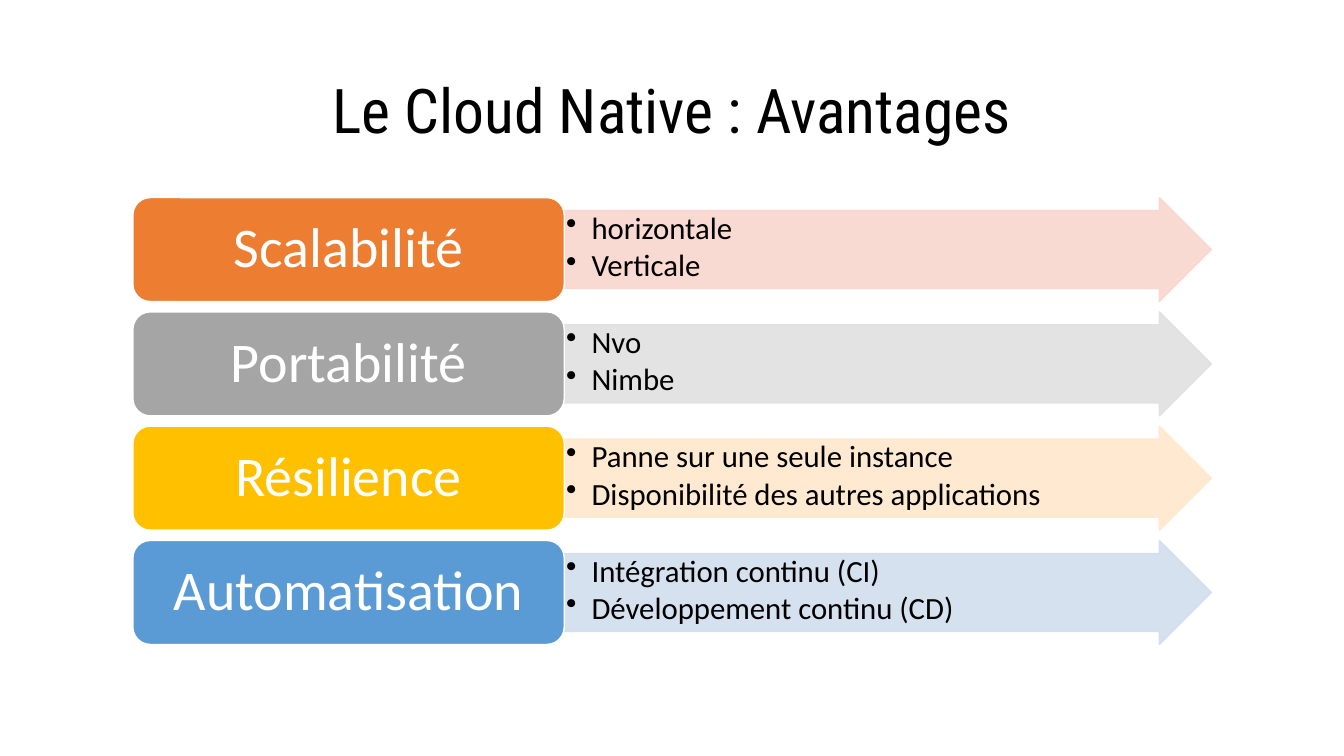
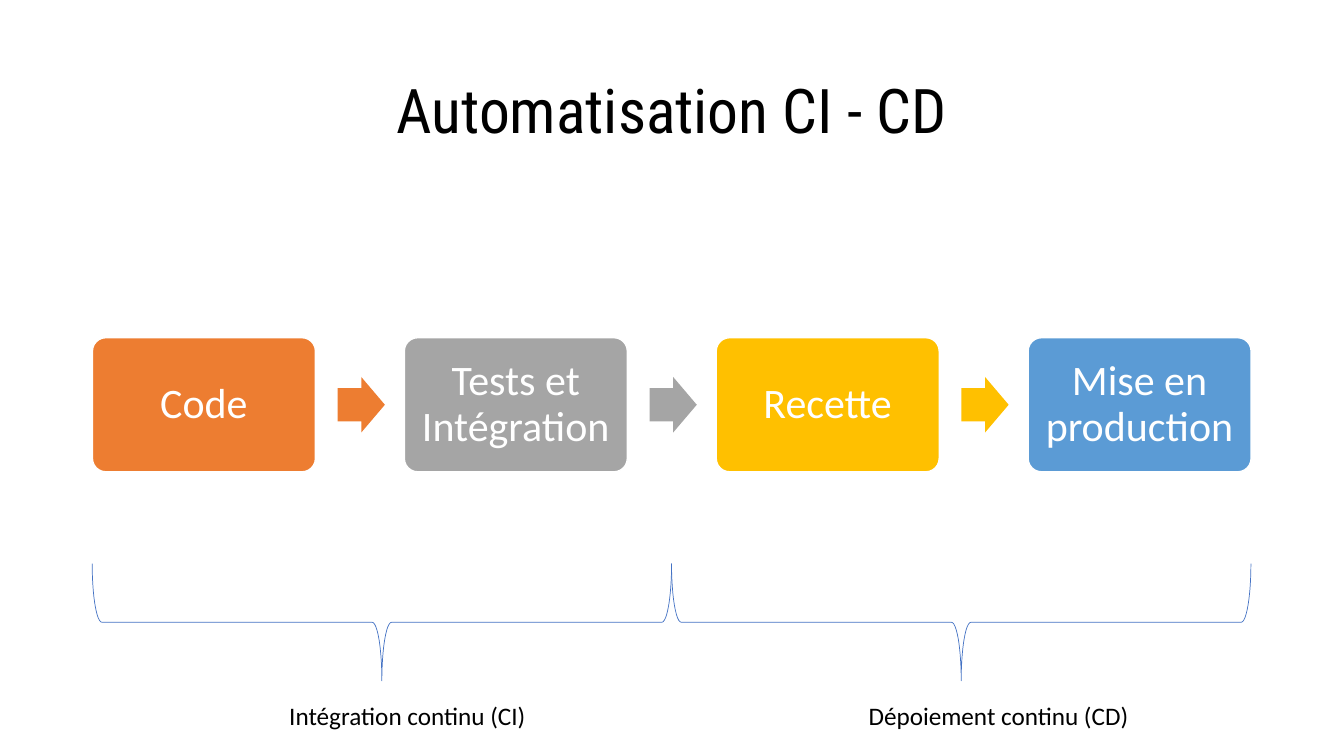
from lxml.etree import SubElement
from pptx import Presentation
from pptx.dml.color import RGBColor
from pptx.enum.shapes import MSO_SHAPE
from pptx.enum.text import MSO_ANCHOR, MSO_AUTO_SIZE, PP_ALIGN
from pptx.oxml.ns import qn
from pptx.util import Cm, Pt

BLACK = RGBColor(0x00, 0x00, 0x00)
WHITE = RGBColor(0xFF, 0xFF, 0xFF)
ORANGE = RGBColor(0xED, 0x7D, 0x31)
GRAY = RGBColor(0xA5, 0xA5, 0xA5)
GOLD = RGBColor(0xFF, 0xC0, 0x00)
BLUE = RGBColor(0x5B, 0x9B, 0xD5)
PALE_ORANGE = RGBColor(0xF8, 0xD7, 0xCE)
PALE_GRAY = RGBColor(0xE1, 0xE1, 0xE1)
PALE_GOLD = RGBColor(0xFF, 0xE8, 0xCC)
PALE_BLUE = RGBColor(0xD2, 0xDE, 0xEF)
BRACE_BLUE = RGBColor(0x44, 0x72, 0xC4)

TITLE_FONT = "Roboto Condensed"
BODY_FONT = "Calibri"
ACCENTS = [ORANGE, GRAY, GOLD, BLUE]
PALES = [PALE_ORANGE, PALE_GRAY, PALE_GOLD, PALE_BLUE]


def write(sp, text, size, color, align, font=BODY_FONT, spacing=0.9):
    tf = sp.text_frame
    tf.text = text
    tf.word_wrap = True
    for p in tf.paragraphs:
        p.alignment = align
        p.line_spacing = spacing
        for r in p.runs:
            r.font.name = font
            r.font.size = Pt(size)
            r.font.color.rgb = color
    return tf


def add_block(s, kind, x, y, w, h, fill, line=None, adjustments=()):
    sp = s.shapes.add_shape(kind, Cm(x), Cm(y), Cm(w), Cm(h))
    sp.shadow.inherit = False
    for i, value in enumerate(adjustments):
        sp.adjustments[i] = value
    if fill is None:
        sp.fill.background()
    else:
        sp.fill.solid()
        sp.fill.fore_color.rgb = fill
    if line is None:
        sp.line.fill.background()
    else:
        sp.line.color.rgb = line
        sp.line.width = Pt(1)
    return sp


prs = Presentation()
prs.slide_width, prs.slide_height = Cm(33.87), Cm(19.05)

slides = []
for title in ["Le Cloud Native : Avantages", "Automatisation CI - CD"]:
    s = prs.slides.add_slide(prs.slide_layouts[5])
    sp = s.shapes.title
    sp.left, sp.top, sp.width, sp.height = Cm(2.33), Cm(1.01), Cm(29.21), Cm(3.68)
    tf = write(sp, title, 44, BLACK, PP_ALIGN.CENTER, TITLE_FONT)
    tf.vertical_anchor = MSO_ANCHOR.MIDDLE
    tf.auto_size = MSO_AUTO_SIZE.NONE
    slides.append(s)
benefits_slide, pipeline_slide = slides

benefits = [
    ("Scalabilité", ["horizontale", "Verticale"]),
    ("Portabilité", ["Nvo", "Nimbe"]),
    ("Résilience", ["Panne sur une seule instance", "Disponibilité des autres applications"]),
    ("Automatisation", ["Intégration continu (CI)", "Développement continu (CD)"]),
]
for i, (name, details) in enumerate(benefits):
    y = 4.98 + i * 2.88
    sp = add_block(benefits_slide, MSO_SHAPE.RIGHT_ARROW, 14.22, y, 16.31, 2.62,
                   PALES[i], PALES[i], (0.75, 0.5))
    for color in sp._element.spPr.iter(qn("a:srgbClr")):
        SubElement(color, qn("a:alpha"), val="90000")
    tf = write(sp, "\n".join(details), 22, BLACK, PP_ALIGN.LEFT)
    tf.vertical_anchor = MSO_ANCHOR.TOP
    tf.margin_left = tf.margin_right = tf.margin_top = tf.margin_bottom = Cm(0.05)
    for p in tf.paragraphs:
        p.space_after = Pt(3)
        pPr = p._p.get_or_add_pPr()
        pPr.set("marL", str(Cm(0.64)))
        pPr.set("indent", str(Cm(-0.64)))
        SubElement(pPr, qn("a:buChar"), char="•")

    sp = add_block(benefits_slide, MSO_SHAPE.ROUNDED_RECTANGLE, 3.35, y, 10.87, 2.62,
                   ACCENTS[i], WHITE)
    tf = write(sp, name, 40, WHITE, PP_ALIGN.CENTER)
    tf.margin_left = tf.margin_right = Cm(0.43)
    tf.margin_top = tf.margin_bottom = Cm(0.2)

steps = ["Code", "Tests et Intégration", "Recette", "Mise en production"]
for i, name in enumerate(steps):
    x = 2.33 + i * 7.86
    sp = add_block(pipeline_slide, MSO_SHAPE.ROUNDED_RECTANGLE, x, 8.51, 5.62, 3.38,
                   ACCENTS[i], WHITE, (0.1,))
    tf = write(sp, name, 30, WHITE, PP_ALIGN.CENTER)
    tf.margin_left = tf.margin_right = tf.margin_top = tf.margin_bottom = Cm(0.3)
    if i < len(steps) - 1:
        add_block(pipeline_slide, MSO_SHAPE.RIGHT_ARROW, x + 6.18, 9.5, 1.19, 1.4,
                  ACCENTS[i], adjustments=(0.6, 0.5))

phases = ["Intégration continu (CI)", "Dépoiement continu (CD)"]
for i, name in enumerate(phases):
    dx = i * 14.6
    sp = add_block(pipeline_slide, MSO_SHAPE.LEFT_BRACE, 8.15 + dx, 8.38, 2.95, 14.6,
                   None, BRACE_BLUE)
    sp.rotation = 270
    sp.line.width = Pt(0.5)
    sp = pipeline_slide.shapes.add_textbox(Cm(7.04 + dx), Cm(17.53), Cm(7.52), Cm(1.02))
    write(sp, name, 18, BLACK, PP_ALIGN.LEFT, spacing=1.0)

prs.save("out.pptx")
